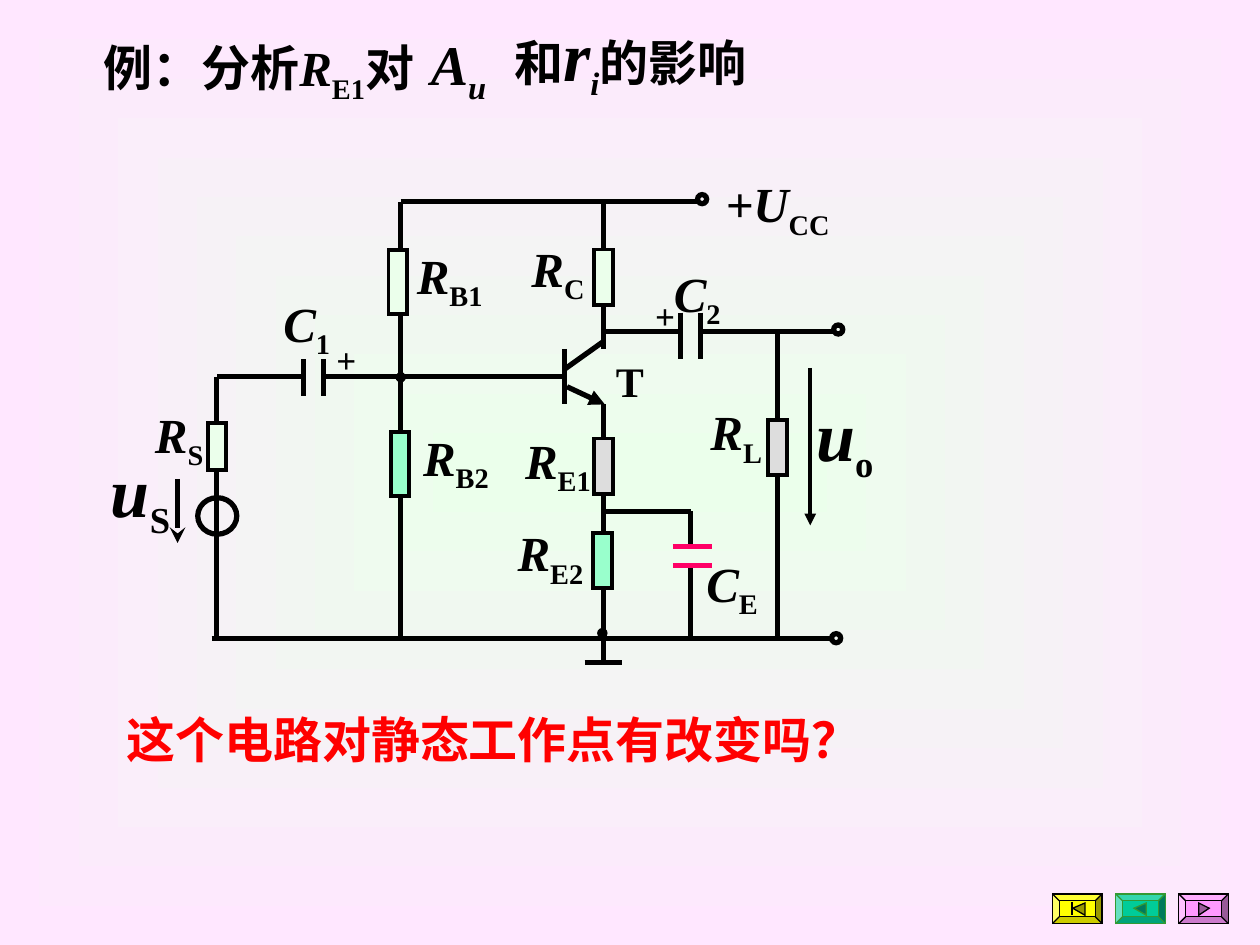
import itertools

import pptx
import pptx.dml.color
import pptx.enum.shapes
import pptx.enum.text
import pptx.oxml
import pptx.oxml.ns
import pptx.util
from lxml import etree

Pt = pptx.util.Pt
SHAPES = pptx.enum.shapes.MSO_SHAPE
ALIGN = pptx.enum.text.PP_ALIGN
ANCHOR = pptx.enum.text.MSO_ANCHOR

THEME = {
    "font": "Times New Roman",
    "ink": "000000", "question": "FF0000", "capacitor": "FF0066",
    "center": "EBFFEB", "edge": "FFE7FF",
    "pale": "EBFFEB", "mint": "99FFCC", "gray": "DDDDDD",
    "text": 28, "polarity": 20, "transistor": 24, "gain": 32, "signal": 40, "signal_sub": 36,
    "wire": 3, "outline": 2.25, "thin": 0.75,
}

# Runs are (text, style, size); style letters: i = italic, s = subscript.
TITLE = [("例：分析", "", "text"), ("R", "i", "text"), ("E1", "s", "text"), ("对", "", "text")]
GAIN = [("A", "i", "gain"), ("u", "is", "gain")]
RESISTANCE = [("和", "", "text"), ("r", "i", "signal"), ("i", "is", "gain"), ("的影响", "", "text")]
QUESTION = [("这个电路对静态工作点有改变吗？", "", "text")]

# Columns and levels of the circuit
SOURCE, BASE, COLLECTOR, BYPASS, LOAD, OUT = 123.8, 229, 344.9, 394.8, 444.4, 477
SUPPLY, OUTPUT, INPUT, EMITTER, TAP, GROUND = 115.2, 189.4, 215.3, 231.1, 292.3, 365
C1_PLATES, C2_PLATES, CE_PLATES = (173.5, 185), (388.8, 400.3), (312.5, 323.3)
BAR = 322.6

WIRES = [
    [(BASE, GROUND), (BASE, SUPPLY), (400.3, SUPPLY)],
    [(COLLECTOR, SUPPLY), (COLLECTOR, 147)],
    [(COLLECTOR, 175.7), (COLLECTOR, 199.4)],
    [(BAR, 199.4), (BAR, EMITTER)],
    [(BAR, 211), (COLLECTOR, 195.1)],
    [(COLLECTOR, EMITTER), (COLLECTOR, 378.7)],
    [(BAR, INPUT), (C1_PLATES[1], INPUT)],
    [(C1_PLATES[0], INPUT), (SOURCE, INPUT), (SOURCE, GROUND)],
    [(121, GROUND), (474.5, GROUND)],
    [(334.1, 378.7), (355.7, 378.7)],
    [(COLLECTOR, OUTPUT), (C2_PLATES[0], OUTPUT)],
    [(C2_PLATES[1], OUTPUT), (OUT, OUTPUT)],
    [(LOAD, OUTPUT), (LOAD, GROUND)],
    [(COLLECTOR, TAP), (BYPASS, TAP), (BYPASS, CE_PLATES[0])],
    [(BYPASS, CE_PLATES[1]), (BYPASS, GROUND)],
]
WIRES += [[(x, 205.2), (x, 226.1)] for x in C1_PLATES]
WIRES += [[(x, 178.6), (x, 205.2)] for x in C2_PLATES]

ARROWS = [  # start, end, width, head
    ((324, 221), (345.6, 231.1), "wire", "triangle"),
    ((101.5, 273.6), (101.5, 310.3), "wire", "stealth"),
    ((463, 210.2), (463, 300.2), "outline", "triangle"),
]

RESISTORS = [  # center x, top, height, fill
    (COLLECTOR - 0.2, 142.6, 31.7, "pale"), (SOURCE + 0.2, 241.9, 26.6, "pale"),
    (BASE - 1.6, 142.6, 36.7, "pale"), (BASE - 0.4, 247, 36.7, "mint"),
    (COLLECTOR - 0.2, 250.6, 31.7, "gray"), (COLLECTOR - 0.4, 304.6, 31.7, "mint"),
    (LOAD, 239.8, 31.7, "gray"),
]
RESISTOR_WIDTH = 10.8

TERMINALS = [(477.8, 364.7), (479, 188.3), (401.2, 113.8)]
JUNCTIONS = [(344.2, 361.8), (BASE, 215.6)]
DOT = 5.2

LABELS = [  # symbol, subscript, (left, top, width)
    ("+U", "CC", (407.5, 95.8, 84)), ("R", "C", (296.6, 132.5, 48)),
    ("C", "1", (154.8, 164.2, 45)), ("C", "2", (378, 146.9, 45)),
    ("R", "L", (398.9, 226.1, 48)), ("R", "B2", (234.7, 240.5, 56)),
    ("R", "E1", (293, 242.6, 56)), ("C", "E", (396.5, 312.5, 48)),
    ("R", "B1", (231.1, 136.8, 56)), ("R", "S", (81.4, 227.5, 46)),
    ("R", "E2", (288.7, 295.2, 56)),
]
SIGNALS = [("u", "o", (453.8, 220.3, 58, 60.5)), ("u", "S", (51.3, 252, 58, 60.5))]
PLUS_SIGNS = [(185, 189.4, 25.9, 31.7), (367.2, 164.2, 25.9, 31.7)]

BUTTONS = [  # fill, icon fill, line, direction, has a stop bar
    ("FFFF00", "999900", "000000", -1, True),
    ("00CC99", "007A5C", "339933", -1, False),
    ("FF99FF", "995C99", "000000", 1, False),
]
BUTTON_LEFT, BUTTON_TOP, BUTTON_PITCH, BUTTON_SIZE = 601.4, 510.8, 36.1, (28.4, 17)


def color(name):
    return pptx.dml.color.RGBColor.from_string(THEME.get(name, name))


def write_text(shape, runs, ink="ink", align=ALIGN.CENTER, anchor=ANCHOR.MIDDLE, wrap=False):
    frame = shape.text_frame
    frame.word_wrap = wrap
    frame.auto_size = pptx.enum.text.MSO_AUTO_SIZE.SHAPE_TO_FIT_TEXT
    frame.vertical_anchor = anchor
    paragraph = frame.paragraphs[0]
    paragraph.alignment = align
    for text, style, size in runs:
        run = paragraph.add_run()
        run.text = text
        run.font.name = THEME["font"]
        run.font.size = Pt(THEME[size])
        run.font.bold = True
        run.font.italic = "i" in style
        run.font.color.rgb = color(ink)
        if "s" in style:
            run._r.get_or_add_rPr().set("baseline", "-25000")


def add_text(slide, runs, box, **form):
    write_text(slide.shapes.add_textbox(*map(Pt, box)), runs, **form)


def add_line(slide, start, end, ink="ink", width="wire", head=None):
    line = slide.shapes.add_connector(
        pptx.enum.shapes.MSO_CONNECTOR.STRAIGHT, *map(Pt, (*start, *end)))
    line.line.color.rgb = color(ink)
    line.line.width = Pt(THEME[width])
    if head:
        tail = etree.SubElement(line.line._get_or_add_ln(), pptx.oxml.ns.qn("a:tailEnd"))
        tail.set("type", head)
    etree.SubElement(line._element.spPr, pptx.oxml.ns.qn("a:effectLst"))


def paint(shape, fill, line="ink", width="outline"):
    shape.shadow.inherit = False
    if fill:
        shape.fill.solid()
        shape.fill.fore_color.rgb = color(fill)
    else:
        shape.fill.background()
    shape.line.color.rgb = color(line)
    shape.line.width = Pt(THEME[width])
    corner = etree.SubElement(shape.line._get_or_add_ln(), pptx.oxml.ns.qn("a:miter"))
    corner.set("lim", "800000")


def add_shape(slide, kind, box, fill, **form):
    shape = slide.shapes.add_shape(kind, *map(Pt, box))
    paint(shape, fill, **form)
    return shape


def add_outline(slide, points, fill, **form):
    builder = slide.shapes.build_freeform(*points[0], scale=Pt(1))
    builder.add_line_segments(points[1:], close=True)
    paint(builder.convert_to_shape(), fill, **form)


def add_button(slide, index, fill, icon, line, direction, stop_bar):
    left = BUTTON_LEFT + index * BUTTON_PITCH
    bevel = add_shape(slide, SHAPES.BEVEL, (left, BUTTON_TOP, *BUTTON_SIZE), fill,
                      line=line, width="thin")
    bevel.adjustments[0] = 0.23
    x, y = left + BUTTON_SIZE[0] / 2, BUTTON_TOP + BUTTON_SIZE[1] / 2
    if stop_bar:
        add_shape(slide, SHAPES.RECTANGLE, (x - 3.5, y - 3.5, 0.7, 7), icon,
                  line=line, width="thin")
        x += 0.9
    tip, back = x + 3.2 * direction, x - 3.2 * direction
    add_outline(slide, [(tip, y), (back, y - 3.3), (back, y + 3.3)], icon,
                line=line, width="thin")


def set_background(slide):
    fill = slide.background.fill
    fill.gradient()
    for stop, name in zip(fill.gradient_stops, ("center", "edge")):
        stop.color.rgb = color(name)
    linear = slide._element.find(".//" + pptx.oxml.ns.qn("a:lin"))
    linear.getparent().replace(linear, pptx.oxml.parse_xml(
        f'<a:path {pptx.oxml.ns.nsdecls("a")} path="rect">'
        '<a:fillToRect l="50000" t="50000" r="50000" b="50000"/></a:path>'))


def add_circuit(slide):
    for wire in WIRES:
        for start, end in itertools.pairwise(wire):
            add_line(slide, start, end)
    for y in CE_PLATES:
        add_line(slide, (384.5, y), (406.8, y), ink="capacitor")
    for start, end, width, head in ARROWS:
        add_line(slide, start, end, width=width, head=head)
    for x, top, height, fill in RESISTORS:
        add_shape(slide, SHAPES.RECTANGLE,
                  (x - RESISTOR_WIDTH / 2, top, RESISTOR_WIDTH, height), fill)
    add_shape(slide, SHAPES.OVAL, (113, 284.4, 22.3, 20.9), None, width="wire")
    for centers, fill, width in ((TERMINALS, None, "wire"), (JUNCTIONS, "ink", "thin")):
        for x, y in centers:
            add_shape(slide, SHAPES.OVAL, (x - DOT / 2, y - DOT / 2, DOT, DOT), fill, width=width)


def add_labels(slide):
    for symbol, subscript, box in LABELS:
        add_text(slide, [(symbol, "i", "text"), (subscript, "s", "text")], (*box, 45.4),
                 align=ALIGN.LEFT, anchor=ANCHOR.TOP)
    for symbol, subscript, box in SIGNALS:
        add_text(slide, [(symbol, "i", "signal"), (subscript, "s", "signal_sub")], box)
    for box in PLUS_SIGNS:
        add_text(slide, [("+", "", "polarity")], box)
    add_text(slide, [("T", "", "transistor")], (344.9, 199.4, 34, 36),
             align=ALIGN.LEFT, anchor=ANCHOR.TOP)


def main():
    presentation = pptx.Presentation()
    presentation.slide_width, presentation.slide_height = Pt(720), Pt(540)
    slide = presentation.slides.add_slide(presentation.slide_layouts[5])
    set_background(slide)
    title = slide.shapes.title
    title.left, title.top, title.width, title.height = map(Pt, (19, 18, 257.8, 45.4))
    write_text(title, TITLE, wrap=True)
    add_text(slide, GAIN, (239, 13, 46.1, 51.1))
    add_text(slide, RESISTANCE, (279.4, 2.9, 161.3, 59))
    for index, button in enumerate(BUTTONS):
        add_button(slide, index, *button)
    add_text(slide, QUESTION, (65.2, 401.8, 434, 41), ink="question", align=ALIGN.LEFT)
    add_circuit(slide)
    add_labels(slide)
    presentation.save("out.pptx")


if __name__ == "__main__":
    main()
